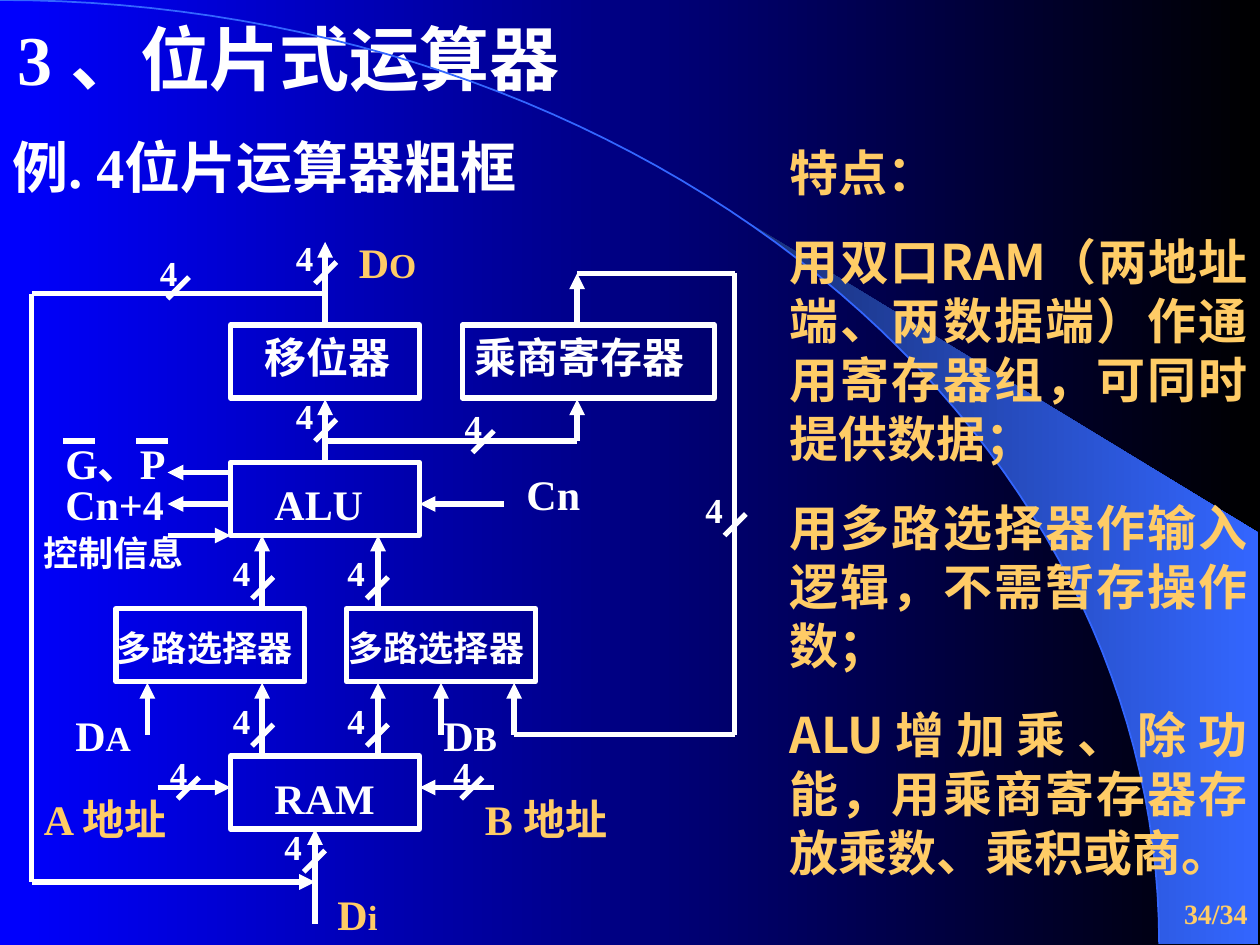
from math import asin, cos, pi, sin

from lxml.etree import SubElement as Sub
from pptx import Presentation
from pptx.dml.color import RGBColor as Rgb
from pptx.enum.shapes import MSO_CONNECTOR as Conn, MSO_SHAPE as Shape
from pptx.enum.text import MSO_ANCHOR as Anchor, MSO_AUTO_SIZE as Auto, PP_ALIGN as Align
from pptx.oxml.ns import qn
from pptx.util import Inches, Pt

INK = {"white": "FFFFFF", "gold": "FFCC66", "blue": "0000FF", "black": "000000",
       "sky": "3366FF", "navy": "182F76"}
SERIF, SANS = "Times New Roman", "Noto Sans CJK SC"
BOX_W, BOX_H = 1.5, 0.58

BODY = [
    "特点：",
    "用双口RAM（两地址端、两数据端）作通用寄存器组，可同时提供数据；",
    "用多路选择器作输入逻辑，不需暂存操作数；",
    "ALU增加乘、除功能，用乘商寄存器存放乘数、乘积或商。",
]
BOXES = [(1.83, 2.58, BOX_W), (1.83, 3.67, BOX_W), (2.75, 4.83, BOX_W),
         (0.92, 4.83, BOX_W), (3.67, 2.58, 2), (1.83, 6, BOX_W)]
ARROWS = [
    [(2.08, 4.83), (2.08, 4.25)],
    [(3, 4.83), (3, 4.25)],
    [(2.58, 3.67), (2.58, 3.17)],
    [(2.58, 2.58), (2.58, 1.92)],
    [(2.08, 6), (2.08, 5.42)],
    [(3, 6), (3, 5.42)],
    [(1.17, 5.83), (1.17, 5.42)],
    [(3.5, 5.83), (3.5, 5.42)],
    [(2.5, 7.33), (2.5, 6.58)],
    [(4, 4), (3.33, 4)],
    [(3.92, 6.25), (3.33, 6.25)],
    [(1.25, 6.25), (1.83, 6.25)],
    [(1.83, 3.75), (1.33, 3.75)],
    [(1.83, 4), (1.33, 4)],
    [(1.33, 4.25), (1.83, 4.25)],
    [(2.58, 2.33), (0.25, 2.33), (0.25, 7), (2.5, 7)],
    [(2.58, 3.5), (4.58, 3.5), (4.58, 3.17)],
]
BARS = [[(0.5, 3.5), (0.75, 3.5)], [(1.08, 3.5), (1.33, 3.5)]]
LABELS = [
    ("移位器", 2, 2.58, 1.67, 24, "white"),
    ("乘商寄存器", 3.67, 2.58, 2.25, 24, "white"),
    ("ALU", 2.08, 3.75, 1.67, 24, "white"),
    ("RAM", 2.08, 6.08, 1.5, 24, "white"),
    ("多路选择器", 0.83, 4.92, 2.25, 20, "white"),
    ("多路选择器", 2.67, 4.92, 2.25, 20, "white"),
    ("G、P", 0.42, 3.42, 1.33, 24, "white"),
    ("Cn+4", 0.42, 3.75, 1.17, 24, "white"),
    ("控制信息", 0.25, 4.17, 1.67, 20, "white"),
    ("Cn", 4.08, 3.67, 0.75, 24, "white"),
    ("A 地址", 0.25, 6.25, 1.42, 24, "gold"),
    ("B 地址", 3.75, 6.25, 1.33, 24, "gold"),
]
PORTS = [("O", 2.75, 1.83, "gold"), ("i", 2.58, 7, "gold"),
         ("B", 3.42, 5.58, "white"), ("A", 0.5, 5.58, "white")]
UP_TICKS = [(5.92, 4.08), (3.08, 4.58), (2.17, 4.58), (2.67, 3.33),
            (2.67, 2.08), (2.58, 6.75), (2.17, 5.75), (3.08, 5.75)]
SIDE_TICKS = [(1.5, 2.2), (3.92, 3.42), (1.58, 6.17), (3.83, 6.17)]


def paint(fill, stops):
    fill.gradient()
    fill.gradient_angle = 0
    for stop, name in zip(fill.gradient_stops, stops):
        stop.color.rgb = Rgb.from_string(INK[name])
    fill.gradient_stops[0].position = 0
    fill.gradient_stops[1].position = 1


def style(run, size, color, face=SERIF):
    font = run.font
    font.size, font.bold, font.name = Pt(size), True, face
    font.color.rgb = Rgb.from_string(INK[color])
    Sub(font._element, qn("a:ea")).set("typeface", SANS)


def fill_text(shape, lines, size, color, face=SERIF, align=Align.LEFT):
    frame = shape.text_frame
    frame.word_wrap, frame.auto_size = True, Auto.NONE
    frame.text = "\n".join(lines)
    for para in frame.paragraphs:
        para.alignment = align
        para._p.get_or_add_pPr().set("hangingPunct", "0")
        for run in para.runs:
            style(run, size, color, face)
    return frame


def add_text(slide, lines, area, size, color, face=SERIF, align=Align.LEFT):
    box = slide.shapes.add_textbox(*map(Inches, area))
    return fill_text(box, lines, size, color, face, align)


def add_port(slide, sub, x, y, color):
    frame = add_text(slide, ["D"], (x, y, 0.75, 0.5), 24, color)
    run = frame.paragraphs[0].add_run()
    run.text = sub
    style(run, 20, color)


def add_box(slide, x, y, w):
    box = slide.shapes.add_shape(Shape.RECTANGLE, *map(Inches, (x, y, w, BOX_H)))
    box.shadow.inherit = False
    box.fill.background()
    box.line.color.rgb = Rgb.from_string(INK["white"])
    box.line.width = Pt(3)


def add_wire(slide, points, arrow=False):
    for start, end in zip(points, points[1:]):
        wire = slide.shapes.add_connector(Conn.STRAIGHT, *map(Inches, start + end))
        wire.line.color.rgb = Rgb.from_string(INK["white"])
        wire.line.width = Pt(3)
        Sub(wire._element.spPr, qn("a:effectLst"))
    if arrow:
        Sub(wire.line._get_or_add_ln(), qn("a:tailEnd")).set("type", "triangle")


def add_tick(slide, x, y, shift):
    add_wire(slide, [(x, y), (x - 0.17, y + 0.17)])
    add_text(slide, ["4"], (x - shift, y - 0.25, 0.5, 0.44), 20, "white")


def arc(first, count=60):
    angles = [first + (pi / 2 - first) * i / count for i in range(count + 1)]
    return [(Inches(9.2 * sin(a)), Inches(7.49 * (1 - cos(a)))) for a in angles]


def add_path(slide, points, close):
    maker = slide.shapes.build_freeform(*points[0])
    maker.add_line_segments(points[1:], close=close)
    shape = maker.convert_to_shape()
    shape.shadow.inherit = False
    return shape


def add_decor(slide):
    paint(slide.background.fill, ("blue", "black"))
    edge = [(Inches(9.99), Inches(7.49)), (Inches(9.99), Inches(4.23))]
    wedge = add_path(slide, arc(asin(5.89 / 9.2)) + edge, True)
    paint(wedge.fill, ("navy", "sky"))
    wedge.line.fill.background()
    curve = add_path(slide, arc(0), False)
    curve.fill.background()
    curve.line.color.rgb = Rgb.from_string(INK["sky"])
    curve.line.width = Pt(1)


def add_title(slide):
    title = slide.shapes.title
    title.left, title.top, title.width, title.height = map(Inches, (0.04, 0.07, 7.75, 0.77))
    fill_text(title, ["3 、位片式运算器"], 40, "white").vertical_anchor = Anchor.TOP


def add_notes(slide):
    add_text(slide, ["34/34"], (7.52, 7, 2.48, 0.5), 16, "gold",
             align=Align.RIGHT).vertical_anchor = Anchor.MIDDLE
    add_text(slide, ["例. 4位片运算器粗框"], (0, 1, 4.5, 0.64), 32, "white")
    frame = add_text(slide, BODY, (6.17, 1.08, 3.83, 5.97), 28, "gold", SANS, Align.JUSTIFY)
    for para in frame.paragraphs[1:]:
        para.space_before = Pt(17.5)


def add_flow(slide):
    for box in BOXES:
        add_box(slide, *box)
    for points in ARROWS:
        add_wire(slide, points, True)
    for points in BARS:
        add_wire(slide, points)
    add_wire(slide, [(4.58, 2.58), (4.58, 2.17)], True)
    add_wire(slide, [(4.58, 2.17), (5.83, 2.17), (5.83, 5.83), (4.08, 5.83)])
    add_wire(slide, [(4.08, 5.83), (4.08, 5.42)], True)
    for text, x, y, w, size, color in LABELS:
        add_text(slide, [text], (x, y, w, 0.5 if size == 24 else 0.44), size, color)
    for port in PORTS:
        add_port(slide, *port)
    for x, y in UP_TICKS:
        add_tick(slide, x, y, 0.42)
    for x, y in SIDE_TICKS:
        add_tick(slide, x, y, 0.33)


def main():
    deck = Presentation()
    deck.slide_width, deck.slide_height = Inches(10), Inches(7.5)
    slide = deck.slides.add_slide(deck.slide_layouts[5])
    add_decor(slide)
    add_title(slide)
    add_notes(slide)
    add_flow(slide)
    deck.save("out.pptx")


if __name__ == "__main__":
    main()
